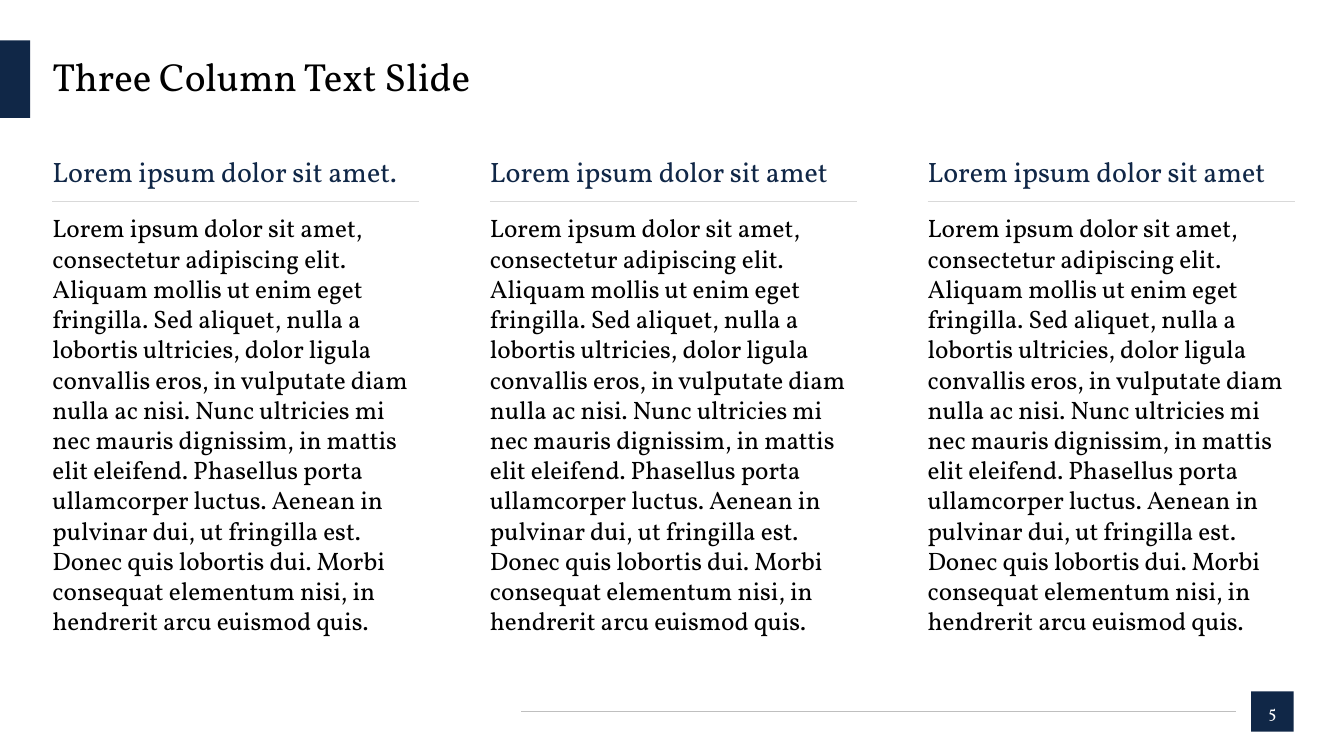
from pptx import Presentation
from pptx.dml.color import RGBColor
from pptx.enum.shapes import MSO_CONNECTOR, MSO_SHAPE
from pptx.enum.text import MSO_ANCHOR, MSO_AUTO_SIZE, PP_ALIGN
from pptx.oxml.ns import qn
from pptx.util import Inches, Pt
from lxml import etree

RECT = MSO_SHAPE.RECTANGLE
STRAIGHT = MSO_CONNECTOR.STRAIGHT
TOP, MIDDLE = MSO_ANCHOR.TOP, MSO_ANCHOR.MIDDLE
LEFT, CENTER = PP_ALIGN.LEFT, PP_ALIGN.CENTER
FIT_SHAPE, NO_FIT = MSO_AUTO_SIZE.SHAPE_TO_FIT_TEXT, MSO_AUTO_SIZE.NONE

FONT = "Vollkorn"
COLORS = {"navy": "102747", "black": "000000", "white": "FFFFFF",
          "rule": "D9D9D9", "footer": "BFBFBF"}
BODY = (
    "Lorem ipsum dolor sit amet, consectetur adipiscing elit. Aliquam mollis "
    "ut enim eget fringilla. Sed aliquet, nulla a lobortis ultricies, dolor "
    "ligula convallis eros, in vulputate diam nulla ac nisi. Nunc ultricies mi "
    "nec mauris dignissim, in mattis elit eleifend. Phasellus porta ullamcorper "
    "luctus. Aenean in pulvinar dui, ut fringilla est. Donec quis lobortis dui. "
    "Morbi consequat elementum nisi, in hendrerit arcu euismod quis."
)
HEADINGS = ["Lorem ipsum dolor sit amet.",
            "Lorem ipsum dolor sit amet",
            "Lorem ipsum dolor sit amet"]


def set_text(sp, text, size, color="black", align=LEFT, anchor=TOP,
             after=0, spacing=None, fit=NO_FIT):
    tf = sp.text_frame
    tf.word_wrap = True
    tf.auto_size = fit
    tf.vertical_anchor = anchor
    tf.margin_left = tf.margin_right = tf.margin_top = tf.margin_bottom = 0
    p = tf.paragraphs[0]
    p.alignment = align
    p.space_after = Pt(after)
    p.line_spacing = spacing
    r = p.add_run()
    r.text = text
    r.font.name = FONT
    r.font.size = Pt(size)
    r.font.color.rgb = RGBColor.from_string(COLORS[color])


def add_rule(s, left, right, y, color):
    line = s.shapes.add_connector(STRAIGHT, Inches(left), Inches(y),
                                  Inches(right), Inches(y))
    line.line.color.rgb = RGBColor.from_string(COLORS[color])
    line.line.width = Pt(0.5)
    etree.SubElement(line._element.spPr, qn("a:effectLst"))


prs = Presentation()
prs.slide_width, prs.slide_height = Inches(13.33), Inches(7.5)
s = prs.slides.add_slide(prs.slide_layouts[5])

# Title
title = s.shapes.title
title.left, title.top = Inches(0.52), Inches(0.4)
title.width, title.height = Inches(12.31), Inches(0.77)
set_text(title, "Three Column Text Slide", 28, anchor=MIDDLE, spacing=0.9)

# Navy title bar and page number box
blocks = []
for left, top, width, height in [(0, 0.4, 0.3, 0.77), (12.41, 6.86, 0.42, 0.4)]:
    sp = s.shapes.add_shape(RECT, Inches(left), Inches(top),
                            Inches(width), Inches(height))
    sp.shadow.inherit = False
    sp.fill.solid()
    sp.fill.fore_color.rgb = RGBColor.from_string(COLORS["navy"])
    sp.line.fill.background()
    blocks.append(sp)
set_text(blocks[1], "5", 12, color="white", align=CENTER, anchor=MIDDLE)

# Footer line
add_rule(s, 5.17, 12.26, 7.06, "footer")

# Three columns: heading, rule, body
COL_LEFT, COL_WIDTH, COL_STEP = 0.52, 3.64, 4.34
for i, heading in enumerate(HEADINGS):
    left = COL_LEFT + i * COL_STEP
    head = s.shapes.add_textbox(Inches(left), Inches(1.53),
                                Inches(COL_WIDTH), Inches(0.34))
    set_text(head, heading, 20, color="navy", after=12, fit=FIT_SHAPE)
    add_rule(s, left, left + COL_WIDTH, 2, "rule")
    body = s.shapes.add_textbox(Inches(left), Inches(2.11),
                                Inches(COL_WIDTH), Inches(4.26))
    set_text(body, BODY, 18, after=12)

prs.save("out.pptx")
